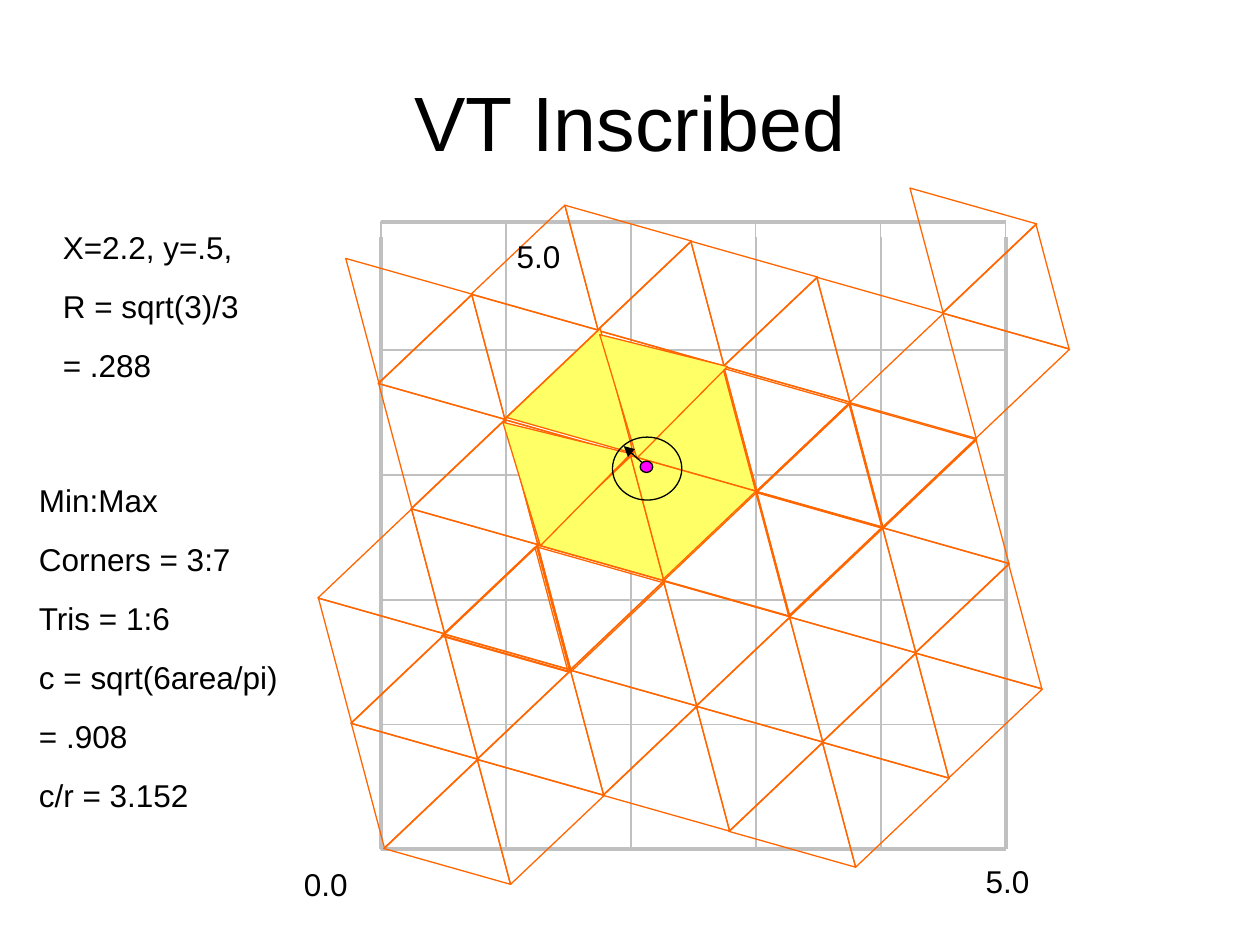
from dataclasses import dataclass

from lxml.etree import SubElement
from pptx import Presentation
from pptx.dml.color import RGBColor
from pptx.enum.shapes import MSO_CONNECTOR, MSO_SHAPE
from pptx.enum.text import MSO_ANCHOR, MSO_AUTO_SIZE, PP_ALIGN
from pptx.oxml.ns import qn
from pptx.util import Pt


@dataclass(frozen=True)
class Theme:
    font: str = "Arial"
    title_size: float = 44
    text_size: float = 18
    paragraph_gap: float = 12.1
    text: str = "000000"
    grid: str = "C0C0C0"
    mesh: str = "FF6600"
    highlight: str = "FFFF66"
    point: str = "FF00FF"
    thin: float = 0.75
    medium: float = 1
    thick: float = 2.25


class SlideBuilder:
    def __init__(self, slide, theme):
        self.slide = slide
        self.theme = theme

    def add_run(self, paragraph, text, size):
        run = paragraph.add_run()
        run.text = text
        run.font.name = self.theme.font
        run.font.size = Pt(size)
        run.font.color.rgb = RGBColor.from_string(self.theme.text)

    def title(self, text, left, top, width, height):
        shape = self.slide.shapes.title
        shape.left, shape.top = Pt(left), Pt(top)
        shape.width, shape.height = Pt(width), Pt(height)
        shape.text_frame.vertical_anchor = MSO_ANCHOR.MIDDLE
        paragraph = shape.text_frame.paragraphs[0]
        paragraph.alignment = PP_ALIGN.CENTER
        self.add_run(paragraph, text, self.theme.title_size)

    def text(self, lines, left, top, width, height, alignment=PP_ALIGN.LEFT):
        shape = self.slide.shapes.add_textbox(Pt(left), Pt(top), Pt(width), Pt(height))
        frame = shape.text_frame
        frame.word_wrap = True
        frame.auto_size = MSO_AUTO_SIZE.SHAPE_TO_FIT_TEXT
        for index, line in enumerate(lines):
            paragraph = frame.add_paragraph() if index else frame.paragraphs[0]
            paragraph.alignment = alignment
            if index:
                paragraph.space_before = Pt(self.theme.paragraph_gap)
            self.add_run(paragraph, line, self.theme.text_size)

    def shape(self, parent, kind, left, top, width, height, line, fill=None, rotation=0):
        shape = parent.shapes.add_shape(kind, Pt(left), Pt(top), Pt(width), Pt(height))
        shape.rotation = rotation
        shape.shadow.inherit = False
        if fill:
            shape.fill.solid()
            shape.fill.fore_color.rgb = RGBColor.from_string(fill)
        else:
            shape.fill.background()
        shape.line.color.rgb = RGBColor.from_string(line)
        shape.line.width = Pt(self.theme.thin)

    def line(self, parent, start, end, color, width, arrow=False):
        connector = parent.shapes.add_connector(
            MSO_CONNECTOR.STRAIGHT, Pt(start[0]), Pt(start[1]), Pt(end[0]), Pt(end[1])
        )
        connector.line.color.rgb = RGBColor.from_string(color)
        connector.line.width = Pt(width)
        if arrow:
            SubElement(connector.line._get_or_add_ln(), qn("a:tailEnd"), type="triangle")
        SubElement(connector._element.spPr, qn("a:effectLst"))

    def grid(self, parent, columns, rows, line_top, gaps):
        theme = self.theme
        for row, (top, bottom) in enumerate(zip(rows, rows[1:])):
            for column, (left, right) in enumerate(zip(columns, columns[1:])):
                if (column, row) not in gaps:
                    self.shape(parent, MSO_SHAPE.RECTANGLE, left, top,
                               right - left, bottom - top, theme.grid)
        for y in rows:
            width = theme.thick if y in (rows[0], rows[-1]) else theme.medium
            self.line(parent, (columns[0], y), (columns[-1], y), theme.grid, width)
        for x in columns:
            width = theme.thick if x in (columns[0], columns[-1]) else theme.medium
            self.line(parent, (x, line_top), (x, rows[-1]), theme.grid, width)

    def triangle(self, parent, inverted, column, row, shift=(0, 0), tilt=15.8, filled=False):
        left = 223.3 + 72 * column + 18.8 * row + 36.2 * inverted + shift[0]
        top = 167.1 + 20.6 * column + 71.6 * row + 10.2 * inverted + shift[1]
        self.shape(parent, MSO_SHAPE.ISOSCELES_TRIANGLE, left, top, 75.3, 63.4,
                   self.theme.mesh, self.theme.highlight if filled else None,
                   tilt + 180 * inverted)


UPRIGHT_ROWS = {-2: (5, 5), -1: (1, 3), 0: (0, 4), 1: (0, 4), 2: (-1, 3), 3: (-1, 2), 4: (-1, -1)}
INVERTED_ROWS = {-2: (4, 4), -1: (1, 4), 0: (-1, 3), 1: (-1, 3), 2: (-1, 3), 3: (-2, 2), 4: (-2, -1)}
HIGHLIGHTED = {(False, 1, 1), (False, 2, 0), (True, 1, 1)}
OVERLAID = [
    (False, 2, 1, (-0.4, -0.4)),
    (True, 2, 1, (-0.7, -0.4)),
    (True, 0, 2, (0, 1.2)),
    (False, 0, 2, (-0.5, 1)),
    (False, 3, 0, (-0.5, 0.5)),
    (True, 3, 0, (0, 0.7)),
    (True, 2, 0, (-0.5, 1)),
    (False, 1, 0, (1.4, -1.1), 15.8, True),
    (True, 1, 0, (2.4, 1.5), 14, True),
    (True, 0, 1, (0.4, 0.5), 13.8, True),
    (False, 0, 2, (-1.5, 1.2)),
]


def main():
    presentation = Presentation()
    presentation.slide_width, presentation.slide_height = Pt(720), Pt(540)
    slide = presentation.slides.add_slide(presentation.slide_layouts[5])
    theme = Theme()
    builder = SlideBuilder(slide, theme)

    builder.title("VT Inscribed", 81, 24, 558, 90)
    builder.text(["X=2.2, y=.5,", "R = sqrt(3)/3", "= .288"], 28.8, 126.7, 116.6, 127.4)
    builder.text(
        ["Min:Max", "Corners = 3:7", "Tris = 1:6", "c = sqrt(6area/pi)", "= .908", "c/r = 3.152"],
        15.2, 271.6, 191.5, 193,
    )
    builder.text(["0.0"], 146.2, 491, 80, 28.8, PP_ALIGN.CENTER)

    mesh = slide.shapes.add_group_shape()
    columns = [217.7 + 71.4 * index for index in range(6)]
    rows = [126.9] + [200.1 + 71.3 * index for index in range(5)]
    builder.grid(mesh, columns, rows, 135.4, {(2, 1), (2, 2)})
    for inverted, spans in ((False, UPRIGHT_ROWS), (True, INVERTED_ROWS)):
        for row, (first, last) in spans.items():
            for column in range(first, last + 1):
                filled = (inverted, column, row) in HIGHLIGHTED
                builder.triangle(mesh, inverted, column, row, filled=filled)
    for overlay in OVERLAID:
        builder.triangle(mesh, *overlay)

    builder.text(["5.0"], 267.8, 131.8, 80, 28.8, PP_ALIGN.CENTER)
    builder.text(["5.0"], 535.7, 488.9, 80, 28.8, PP_ALIGN.CENTER)

    marker = slide.shapes.add_group_shape()
    builder.line(marker, (370, 267.1), (356.4, 254.9), theme.text, theme.thin, arrow=True)
    builder.shape(marker, MSO_SHAPE.OVAL, 350, 249.8, 39.6, 36, theme.text)
    builder.shape(marker, MSO_SHAPE.OVAL, 365.8, 263.5, 7.2, 6.5, theme.text, theme.point)

    presentation.save("out.pptx")


if __name__ == "__main__":
    main()
